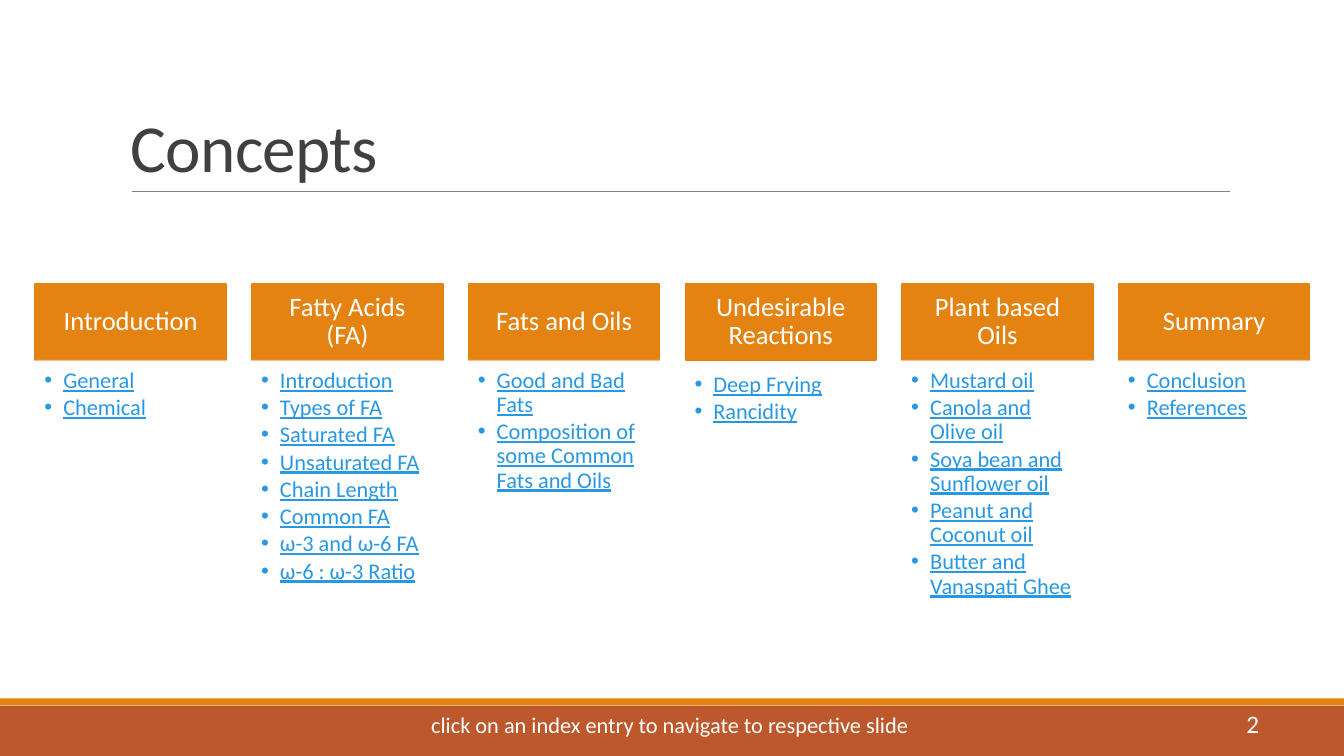
from lxml import etree
from pptx import Presentation
from pptx.dml.color import RGBColor
from pptx.enum.shapes import MSO_CONNECTOR, MSO_SHAPE
from pptx.enum.text import MSO_ANCHOR, PP_ALIGN
from pptx.oxml.ns import qn
from pptx.util import Pt

RECTANGLE = MSO_SHAPE.RECTANGLE
STRAIGHT = MSO_CONNECTOR.STRAIGHT
TOP, MIDDLE, BOTTOM = MSO_ANCHOR.TOP, MSO_ANCHOR.MIDDLE, MSO_ANCHOR.BOTTOM
LEFT, CENTER = PP_ALIGN.LEFT, PP_ALIGN.CENTER

FONT = "Calibri"
ORANGE, RUST, WHITE = "E48312", "BD582C", "FFFFFF"
LINK_BLUE, TITLE_GRAY, RULE_GRAY = "2998E3", "404040", "808080"

COLUMN_LEFT, COLUMN_STEP, COLUMN_WIDTH = 25.2, 154.8, 136.2
HEADER_TOP, HEADER_HEIGHT = 202.9, 54.2
PANEL_TOP, PANEL_HEIGHT = 257.1, 192.2
BULLET_INDENT = 13.5

COLUMNS = [
    ("Introduction", 0, ["General", "Chemical"]),
    ("Fatty Acids (FA)", 0, [
        "Introduction", "Types of FA", "Saturated FA", "Unsaturated FA",
        "Chain Length", "Common FA", "ω-3 and ω-6 FA", "ω-6 : ω-3 Ratio"]),
    ("Fats and Oils", 0, [
        "Good and Bad Fats", "Composition of some Common Fats and Oils"]),
    ("Undesirable Reactions", 2.9, ["Deep Frying", "Rancidity"]),
    ("Plant based Oils", 0, [
        "Mustard oil", "Canola and Olive oil", "Soya bean and Sunflower oil",
        "Peanut and Coconut oil", "Butter and Vanaspati Ghee"]),
    ("Summary", 0, ["Conclusion", "References"]),
]


def color(hex_string):
    """Turn a hex string into a colour."""
    return RGBColor.from_string(hex_string)


def add_box(slide, left, top, width, height, fill, line=None):
    """Add a filled rectangle without shadow."""
    shape = slide.shapes.add_shape(RECTANGLE, Pt(left), Pt(top), Pt(width), Pt(height))
    shape.shadow.inherit = False
    shape.fill.solid()
    shape.fill.fore_color.rgb = color(fill)
    if line:
        shape.line.color.rgb = color(line)
        shape.line.width = Pt(1.25)
    else:
        shape.line.fill.background()
    return shape


def set_frame(shape, anchor, insets):
    """Set wrapping, anchor and left, top, right, bottom insets."""
    frame = shape.text_frame
    frame.word_wrap = True
    frame.vertical_anchor = anchor
    frame.margin_left, frame.margin_top, frame.margin_right, frame.margin_bottom = map(Pt, insets)
    return frame


def add_run(paragraph, text, size, hex_string, alignment=CENTER, line_spacing=1.0):
    """Add a formatted run and set its paragraph's layout."""
    paragraph.alignment = alignment
    paragraph.line_spacing = line_spacing
    run = paragraph.add_run()
    run.text = text
    run.font.name = FONT
    run.font.size = Pt(size)
    run.font.color.rgb = color(hex_string)
    return run


def add_label(slide, text, left, top, width, height, size, hex_string,
              alignment=CENTER, anchor=TOP, line_spacing=1.0):
    """Add a one-paragraph text box."""
    box = slide.shapes.add_textbox(Pt(left), Pt(top), Pt(width), Pt(height))
    frame = set_frame(box, anchor, (7.2, 3.6, 7.2, 3.6))
    return add_run(frame.paragraphs[0], text, size, hex_string, alignment, line_spacing)


def add_rule(slide, left, right, top):
    """Add the thin horizontal line below the title."""
    rule = slide.shapes.add_connector(STRAIGHT, Pt(left), Pt(top), Pt(right), Pt(top))
    rule.line.color.rgb = color(RULE_GRAY)
    rule.line.width = Pt(0.5)
    etree.SubElement(rule._element.spPr, qn("a:effectLst"))


def set_bullet(paragraph):
    """Give a paragraph a hanging round bullet."""
    properties = paragraph._p.get_or_add_pPr()
    properties.set("marL", str(Pt(BULLET_INDENT)))
    properties.set("indent", str(-Pt(BULLET_INDENT)))
    etree.SubElement(properties, qn("a:buFont")).set("typeface", "Arial")
    etree.SubElement(properties, qn("a:buChar")).set("char", "•")


def add_header(slide, left, text):
    """Add the orange heading of a column."""
    header = add_box(slide, left, HEADER_TOP, COLUMN_WIDTH, HEADER_HEIGHT, ORANGE, ORANGE)
    frame = set_frame(header, MIDDLE, (10.6, 5.8, 10.6, 5.8))
    add_run(frame.paragraphs[0], text, 19, WHITE, line_spacing=0.9)


def add_panel(slide, left, top, entries):
    """Add the half-transparent list of index entries of a column."""
    panel = add_box(slide, left, top, COLUMN_WIDTH, PANEL_HEIGHT, WHITE)
    fill_color = panel._element.spPr.find(qn("a:solidFill"))[0]
    etree.SubElement(fill_color, qn("a:alpha")).set("val", "50000")
    frame = set_frame(panel, TOP, (6.5, 6.5, 8.6, 10.1))
    for index, entry in enumerate(entries):
        paragraph = frame.add_paragraph() if index else frame.paragraphs[0]
        run = add_run(paragraph, entry, 16, LINK_BLUE, LEFT, 0.9)
        run.font.underline = True
        paragraph.space_after = Pt(2.2)
        set_bullet(paragraph)


def main():
    """Build and save the slide."""
    presentation = Presentation()
    presentation.slide_width, presentation.slide_height = Pt(960), Pt(540)
    slide = presentation.slides.add_slide(presentation.slide_layouts[6])
    add_box(slide, 0, 504, 960, 36, RUST)
    add_box(slide, 0, 498.8, 960, 5.04, ORANGE)
    add_rule(slide, 94.3, 878.8, 136.8)
    title = add_label(slide, "Concepts", 86.4, 22.6, 792, 114.2, 48, TITLE_GRAY,
                      LEFT, BOTTOM, 0.85)
    title._r.get_or_add_rPr().set("spc", "-50")
    for index, (heading, panel_shift, entries) in enumerate(COLUMNS):
        left = COLUMN_LEFT + index * COLUMN_STEP
        add_header(slide, left, heading)
        add_panel(slide, left, PANEL_TOP + panel_shift, entries)
    add_label(slide, "2", 878.4, 502.1, 33, 29.1, 18, WHITE)
    add_label(slide, "click on an index entry to navigate to respective slide ",
              243.2, 504.2, 474, 26.7, 16, WHITE)
    presentation.save("out.pptx")


if __name__ == "__main__":
    main()
